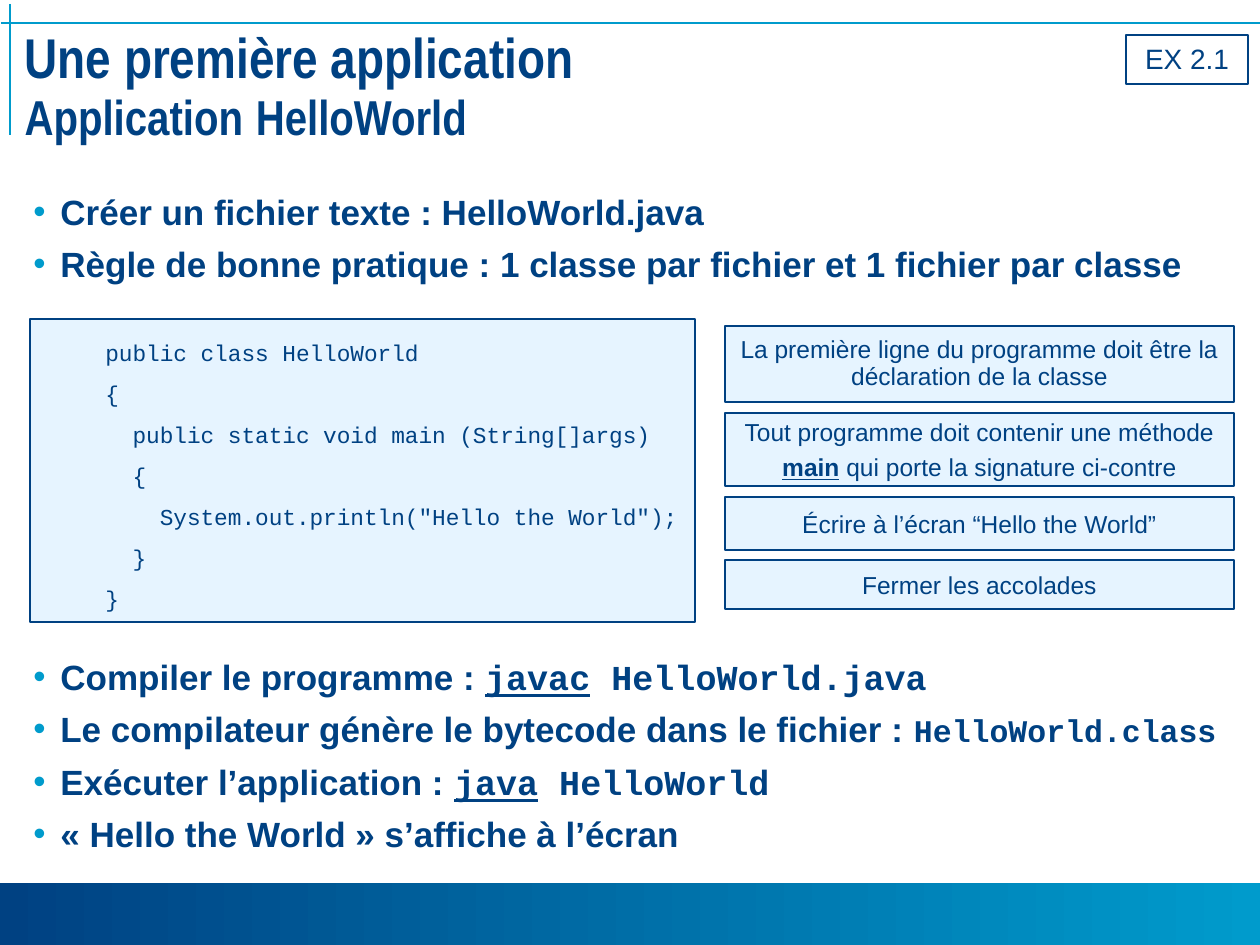
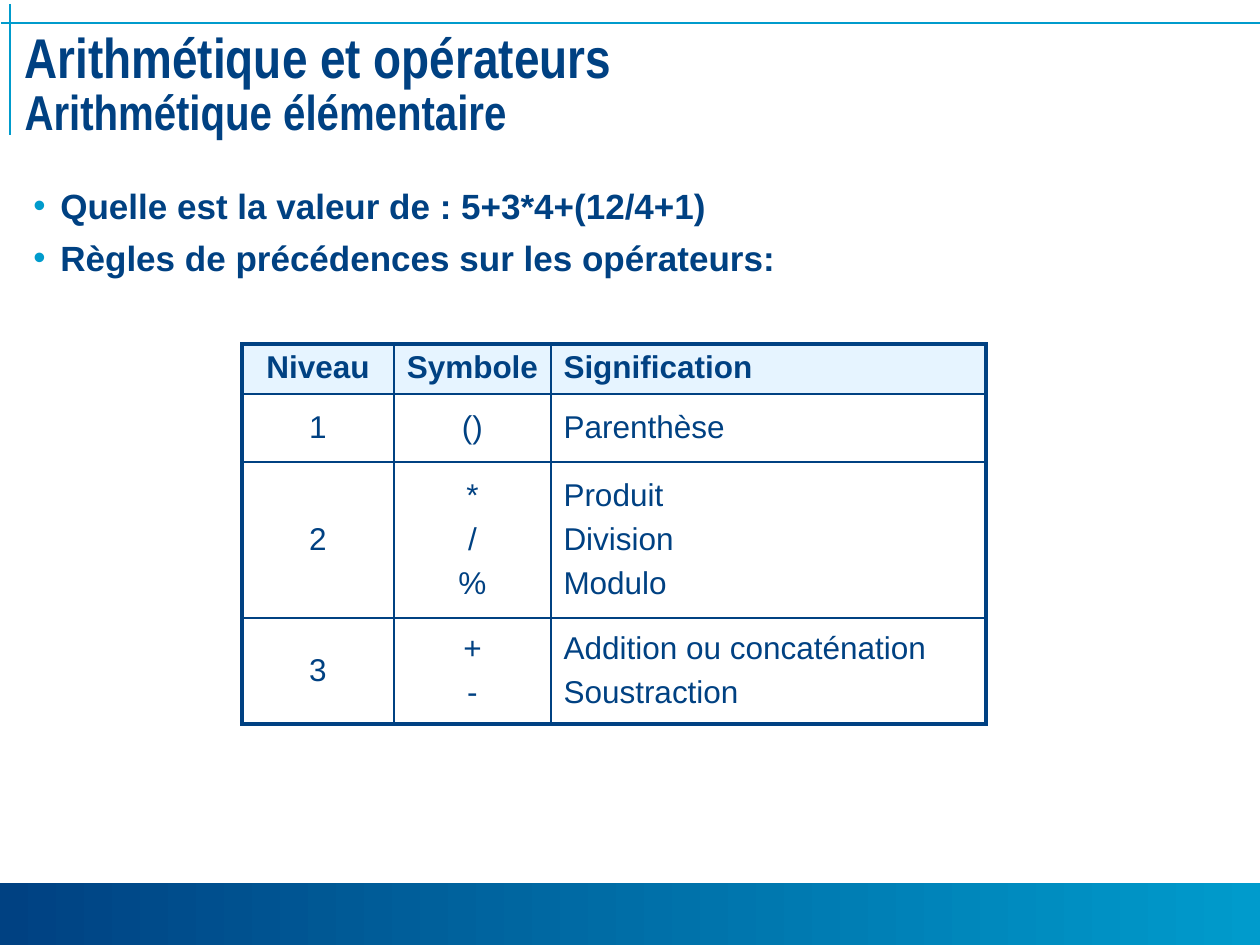
from copy import deepcopy

from lxml import etree
from pptx import Presentation
from pptx import util as u
from pptx.dml.color import RGBColor
from pptx.enum import shapes, text
from pptx.oxml import ns

NAVY = RGBColor(0x00, 0x41, 0x82)
CYAN = RGBColor(0x00, 0x9B, 0xCC)
PALE = RGBColor(0xE6, 0xF4, 0xFF)

SCALE = u.Inches(1) / 126
SLIDE_W, SLIDE_H = 1260, 945
LEFT, CENTER = text.PP_ALIGN.LEFT, text.PP_ALIGN.CENTER
TOP, MIDDLE = text.MSO_ANCHOR.TOP, text.MSO_ANCHOR.MIDDLE
COURIER = {"name": "Courier New"}
COMMAND = {"name": "Courier New", "underline": True}


def px(*lengths):
    return [u.Emu(round(length * SCALE)) for length in lengths]


def sub(parent, tag, **attributes):
    return etree.SubElement(parent, ns.qn(tag), attributes)


class Deck:
    def __init__(self):
        self.prs = Presentation()
        self.prs.slide_width, self.prs.slide_height = px(SLIDE_W, SLIDE_H)
        self.slide = None

    def new_slide(self, heading, *subheading):
        """Start a slide with its band, corner lines and two-line title."""
        self.slide = self.prs.slides.add_slide(self.prs.slide_layouts[5])
        self.band()
        self.line(1, 23, SLIDE_W, 23)
        self.line(10, 4, 10, 135)
        self.title(heading, subheading)

    def band(self):
        band = self.slide.shapes.add_shape(
            shapes.MSO_SHAPE.RECTANGLE, *px(0, 883, SLIDE_W, 62))
        band.shadow.inherit = False
        band.line.fill.background()
        band.fill.gradient()
        band.fill.gradient_angle = 0
        for stop, colour in zip(band.fill.gradient_stops, (NAVY, CYAN)):
            stop.color.rgb = colour

    def line(self, x1, y1, x2, y2):
        rule = self.slide.shapes.add_connector(
            shapes.MSO_CONNECTOR.STRAIGHT, *px(x1, y1, x2, y2))
        rule.line.color.rgb = CYAN
        rule.line.width = u.Pt(1)
        sub(rule._element.spPr, "a:effectLst")

    def title(self, heading, subheading):
        title = self.slide.shapes.title
        title.left, title.top, title.width, title.height = px(12, 28, 1238, 127)
        frame = title.text_frame
        self.frame(frame, TOP)
        frame.margin_top = frame.margin_bottom = px(5)[0]
        paragraph = frame.paragraphs[0]
        paragraph.alignment = LEFT
        paragraph.line_spacing = 0.85
        style = {"name": "Arial Narrow", "bold": True}
        self.runs(paragraph, [heading], size=32, **style)
        paragraph.add_line_break()
        self.runs(paragraph, subheading, size=28, **style)
        line_break = paragraph._p.find(ns.qn("a:br"))
        line_break.insert(0, deepcopy(paragraph.runs[0]._r.rPr))

    def frame(self, frame, anchor):
        frame.word_wrap = True
        frame.auto_size = text.MSO_AUTO_SIZE.NONE
        frame.vertical_anchor = anchor

    def runs(self, paragraph, parts, **style):
        """Add runs; a part is a string or a (string, style changes) pair."""
        for part in parts:
            words, changes = (part, {}) if isinstance(part, str) else part
            run = paragraph.add_run()
            run.text = words
            run.font.color.rgb = NAVY
            for key, value in {"name": "Arial", **style, **changes}.items():
                setattr(run.font, key, u.Pt(value) if key == "size" else value)

    def paragraphs(self, frame, lines, align=LEFT, before=0, spacing=None,
                   margin=0, bullet=False, **style):
        for index, parts in enumerate(lines):
            paragraph = frame.add_paragraph() if index else frame.paragraphs[0]
            paragraph.alignment = align
            if spacing:
                paragraph.line_spacing = spacing
            if index and before:
                paragraph.space_before = u.Pt(before)
            props = paragraph._p.get_or_add_pPr()
            if margin:
                props.set("marL", str(px(margin)[0]))
            if bullet:
                props.set("indent", str(-px(margin)[0]))
                sub(sub(props, "a:buClr"), "a:srgbClr", val=str(CYAN))
                sub(props, "a:buFont", typeface="Arial")
                sub(props, "a:buChar", char="•")
            parts = [parts] if isinstance(parts, str) else parts
            self.runs(paragraph, parts, **style)

    def bullets(self, top, height, lines):
        box = self.slide.shapes.add_textbox(*px(21, top, 1216, height))
        self.frame(box.text_frame, TOP)
        self.paragraphs(box.text_frame, lines, before=6, margin=27,
                        bullet=True, size=20, bold=True)

    def box(self, place, lines, border, fill=PALE, anchor=MIDDLE, **style):
        box = self.slide.shapes.add_shape(
            shapes.MSO_SHAPE.RECTANGLE, *px(*place))
        box.shadow.inherit = False
        if fill is None:
            box.fill.background()
        else:
            box.fill.solid()
            box.fill.fore_color.rgb = fill
        box.line.color.rgb = NAVY
        box.line.width = u.Pt(border)
        self.frame(box.text_frame, anchor)
        self.paragraphs(box.text_frame, lines, **style)

    def borders(self, cell, **widths):
        props = cell._tc.get_or_add_tcPr()
        for side, width in widths.items():
            edge = sub(props, f"a:ln{side}", w=str(u.Pt(width)))
            sub(sub(edge, "a:solidFill"), "a:srgbClr", val=str(NAVY))

    def table(self, left, top, widths, heights, rows):
        """Draw a table with a thick frame; each cell is a list of lines."""
        table = self.slide.shapes.add_table(
            len(heights), len(widths),
            *px(left, top, sum(widths), sum(heights))).table
        table.first_row = table.horz_banding = False
        for column, width in zip(table.columns, px(*widths)):
            column.width = width
        for row, height in zip(table.rows, px(*heights)):
            row.height = height

        def edge(outer):
            return 2.25 if outer else 1

        last_row, last_column = len(heights) - 1, len(widths) - 1
        for r, row in enumerate(rows):
            for c, lines in enumerate(row):
                cell = table.cell(r, c)
                self.borders(cell, L=edge(c == 0), R=edge(c == last_column),
                             T=edge(r == 0), B=edge(r == last_row))
                if r == 0:
                    cell.fill.solid()
                    cell.fill.fore_color.rgb = PALE
                else:
                    cell.fill.background()
                cell.vertical_anchor = MIDDLE if r else TOP
                self.paragraphs(cell.text_frame, lines, before=5, size=18,
                                align=LEFT if c == last_column else CENTER,
                                bold=r == 0)


def hello_world(deck):
    deck.new_slide("Une première application",
                   "Application", (" ", {"size": 32}), "HelloWorld")
    deck.bullets(184, 160, [
        "Créer un fichier texte : HelloWorld.java",
        "Règle de bonne pratique : 1 classe par fichier et 1 fichier par classe",
    ])
    remarks = [
        (326, 76, 0.9, ["La première ligne du programme doit être la "
                        "déclaration de la classe"]),
        (413, 73, None, [
            "Tout programme doit contenir une méthode",
            [("main", {"bold": True, "underline": True}),
             " qui porte la signature ci-contre"]]),
        (497, 53, None, ["Écrire à l’écran “Hello the World”"]),
        (560, 49, None, ["Fermer les accolades"]),
    ]
    for top, height, spacing, lines in remarks:
        deck.box((725, top, 509, height), lines, 0.75, align=CENTER,
                 before=3, spacing=spacing, size=14)
    code = [
        "public class HelloWorld",
        "{",
        "  public static void main (String[]args)",
        "  {",
        '    System.out.println("Hello the World");',
        "  }",
        "}",
    ]
    deck.box((30, 319, 665, 303), code, 1.5, anchor=TOP, spacing=1.5,
             margin=63, size=13, **COURIER)
    deck.bullets(649, 214, [
        ["Compiler le programme : ", ("javac", COMMAND),
         (" HelloWorld.java", COURIER)],
        ["Le compilateur génère le bytecode dans le fichier : ",
         ("HelloWorld.class", {**COURIER, "size": 18})],
        ["Exécuter l’application : ", ("java", COMMAND),
         (" HelloWorld", COURIER)],
        "« Hello the World » s’affiche à l’écran",
    ])
    deck.box((1126, 35, 122, 49), ["EX 2.1"], 1.5, fill=None, anchor=TOP,
             align=CENTER, size=16)


def arithmetic(deck):
    deck.new_slide("Arithmétique et opérateurs", "Arithmétique élémentaire")
    deck.bullets(178, 130, [
        "Quelle est la valeur de : 5+3*4+(12/4+1)",
        "Règles de précédences sur les opérateurs:",
    ])
    deck.table(242, 344, [152, 157, 435], [50, 68, 156, 106], [
        [["Niveau"], ["Symbole"], ["Signification"]],
        [["1"], ["()"], ["Parenthèse"]],
        [["2"], ["*", "/", "%"], ["Produit", "Division", "Modulo"]],
        [["3"], ["+", "-"], ["Addition ou concaténation", "Soustraction"]],
    ])


def main():
    deck = Deck()
    hello_world(deck)
    arithmetic(deck)
    deck.prs.save("out.pptx")


if __name__ == "__main__":
    main()
